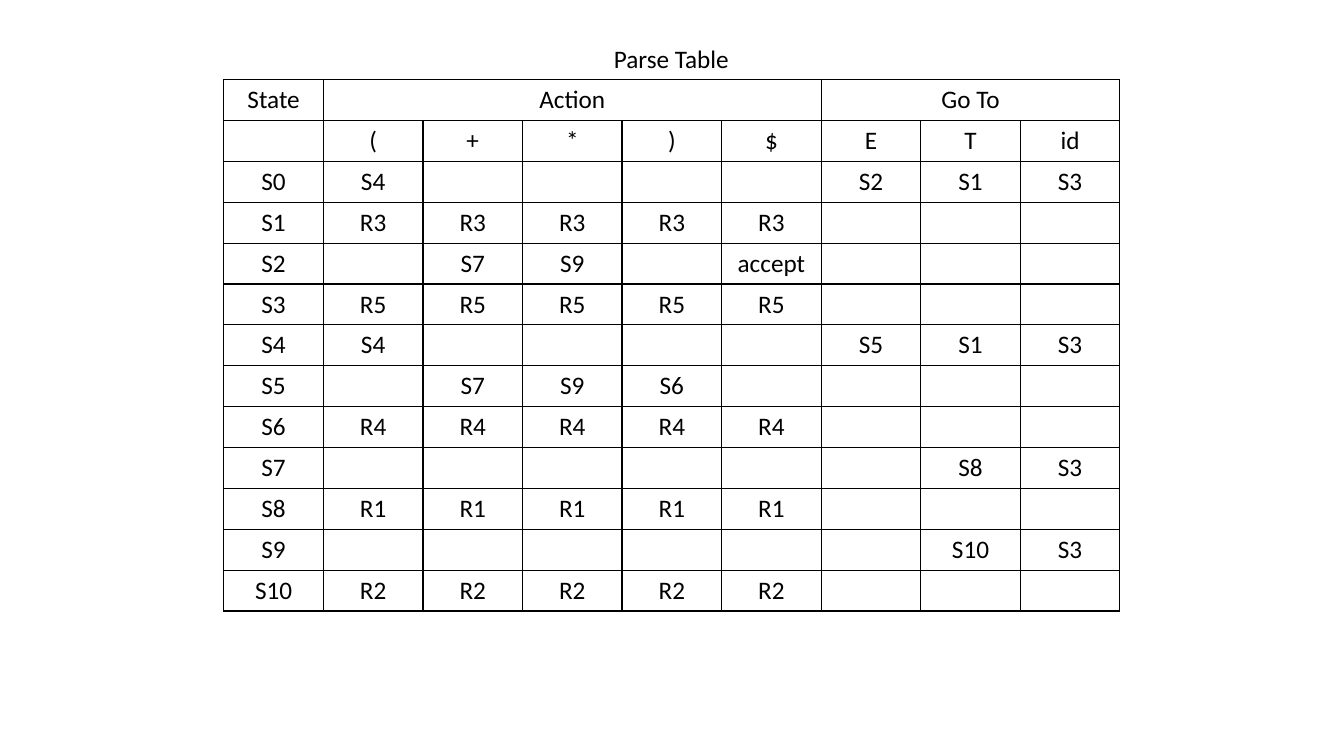
from dataclasses import dataclass

from lxml.etree import SubElement
from pptx import Presentation
from pptx.dml.color import RGBColor
from pptx.enum.text import MSO_AUTO_SIZE as AutoSize
from pptx.enum.text import MSO_VERTICAL_ANCHOR as Anchor
from pptx.enum.text import PP_PARAGRAPH_ALIGNMENT as Align
from pptx.oxml.ns import qn
from pptx.slide import Slide
from pptx.table import Table, _Cell as Cell
from pptx.text.text import _Paragraph as Paragraph
from pptx.util import Inches, Pt

BLACK = RGBColor(0, 0, 0)
FONT = "Calibri"
TEXT_SIZE = Pt(18)
BORDER_WIDTH = Pt(1)

# Grid of the parse table, centred across the page
PAGE_WIDTH, PAGE_HEIGHT = Inches(13.33), Inches(7.5)
TERMINALS = ["(", "+", "*", ")", "$"]
GOTO_SYMBOLS = ["E", "T", "id"]
COLUMN_COUNT = 1 + len(TERMINALS) + len(GOTO_SYMBOLS)
TABLE_WIDTH, TABLE_TOP = Inches(8.89), Inches(0.79)
COLUMN_WIDTH = TABLE_WIDTH // COLUMN_COUNT
ROW_HEIGHT = Inches(5.27) // 13


@dataclass(frozen=True)
class Heading:
    text: str
    first_column: int
    span: int


@dataclass(frozen=True)
class State:
    actions: dict[str, str]
    gotos: dict[str, str]


def shift(actions: dict[str, str], **gotos: str) -> State:
    return State(actions, gotos)


def reduce_by(rule: int) -> State:
    return State({symbol: f"R{rule}" for symbol in TERMINALS}, {})


HEADINGS = [
    Heading("State", 0, 1),
    Heading("Action", 1, len(TERMINALS)),
    Heading("Go To", 1 + len(TERMINALS), len(GOTO_SYMBOLS)),
]

# States S0 to S10, in order
STATES = [
    shift({"(": "S4"}, E="S2", T="S1", id="S3"),
    reduce_by(3),
    shift({"+": "S7", "*": "S9", "$": "accept"}),
    reduce_by(5),
    shift({"(": "S4"}, E="S5", T="S1", id="S3"),
    shift({"+": "S7", "*": "S9", ")": "S6"}),
    reduce_by(4),
    shift({}, T="S8", id="S3"),
    reduce_by(1),
    shift({}, T="S10", id="S3"),
    reduce_by(2),
]


def add_span(para: Paragraph, text: str) -> None:
    span = para.add_run()
    span.text = text
    span.font.name = FONT
    span.font.size = TEXT_SIZE
    span.font.color.rgb = BLACK


def style_cell(cell: Cell) -> None:
    cell.fill.background()
    properties = cell._tc.get_or_add_tcPr()
    for index, side in enumerate(("lnL", "lnR", "lnT", "lnB")):
        border = SubElement(properties, qn(f"a:{side}"), w=str(BORDER_WIDTH))
        fill = SubElement(border, qn("a:solidFill"))
        SubElement(fill, qn("a:srgbClr"), val=str(BLACK))
        properties.insert(index, border)


def write_cell(cell: Cell, text: str) -> None:
    para = cell.text_frame.paragraphs[0]
    para.alignment = Align.CENTER
    para.font.size = TEXT_SIZE
    if text:
        add_span(para, text)


def body_rows() -> list[list[str]]:
    rows = [["", *TERMINALS, *GOTO_SYMBOLS]]
    for number, state in enumerate(STATES):
        actions = [state.actions.get(symbol, "") for symbol in TERMINALS]
        gotos = [state.gotos.get(symbol, "") for symbol in GOTO_SYMBOLS]
        rows.append([f"S{number}", *actions, *gotos])
    return rows


def fill_table(table: Table) -> None:
    for cell in table.iter_cells():
        style_cell(cell)
    for heading in HEADINGS:
        cell = table.cell(0, heading.first_column)
        if heading.span > 1:
            cell.merge(table.cell(0, heading.first_column + heading.span - 1))
        write_cell(cell, heading.text)
    for row, texts in enumerate(body_rows(), start=1):
        for column, text in enumerate(texts):
            write_cell(table.cell(row, column), text)


def add_parse_table(page: Slide) -> None:
    row_count = len(STATES) + 2
    frame = page.shapes.add_table(
        row_count, COLUMN_COUNT, (PAGE_WIDTH - TABLE_WIDTH) // 2, TABLE_TOP,
        COLUMN_WIDTH * COLUMN_COUNT, ROW_HEIGHT * row_count)
    table = frame.table
    table.first_row = False
    table.horz_banding = False
    for column in table.columns:
        column.width = COLUMN_WIDTH
    for row in table.rows:
        row.height = ROW_HEIGHT
    fill_table(table)


def add_caption(page: Slide) -> None:
    width, height = Inches(1.35), ROW_HEIGHT
    box = page.shapes.add_textbox(
        (PAGE_WIDTH - width) // 2, TABLE_TOP - height, width, height)
    box.text_frame.word_wrap = False
    box.text_frame.auto_size = AutoSize.SHAPE_TO_FIT_TEXT
    box.text_frame.vertical_anchor = Anchor.TOP
    add_span(box.text_frame.paragraphs[0], "Parse Table")


def main() -> None:
    deck = Presentation()
    deck.slide_width, deck.slide_height = PAGE_WIDTH, PAGE_HEIGHT
    page = deck.slides.add_slide(deck.slide_layouts[6])
    add_parse_table(page)
    add_caption(page)
    deck.save("out.pptx")


if __name__ == "__main__":
    main()
